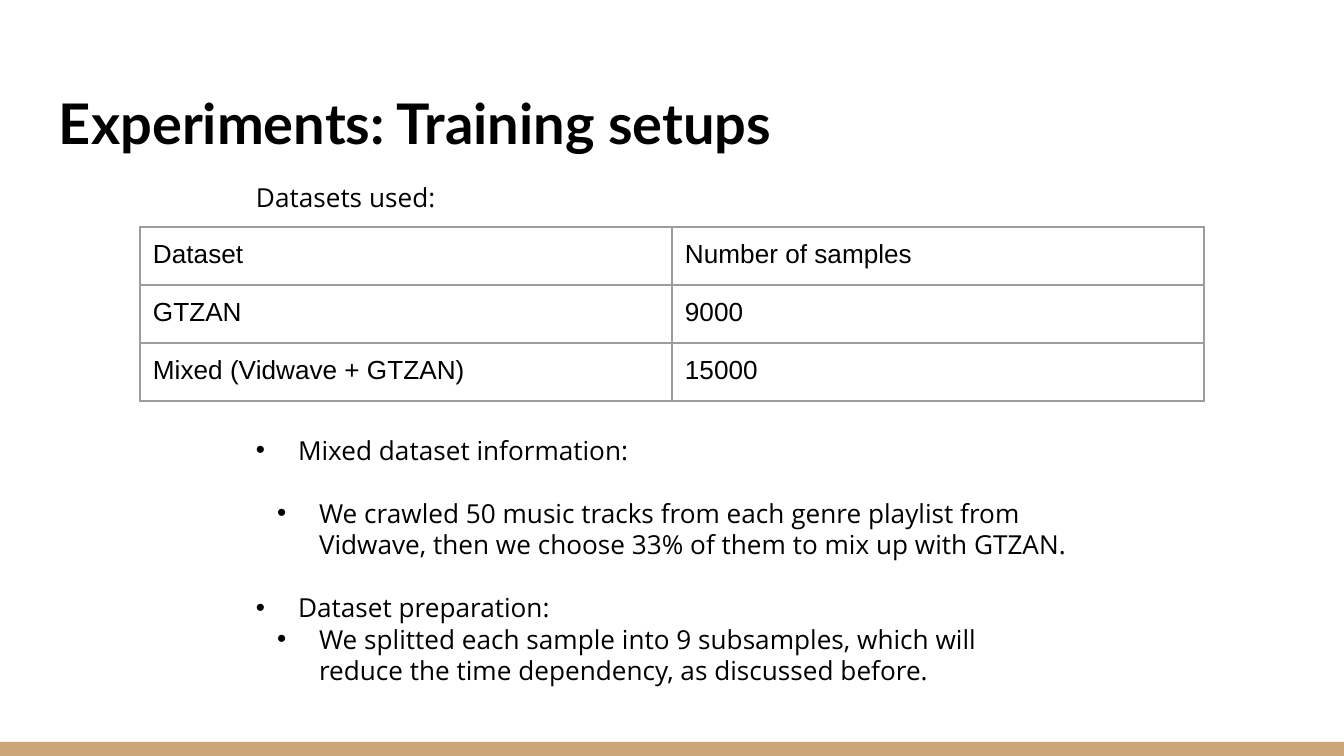
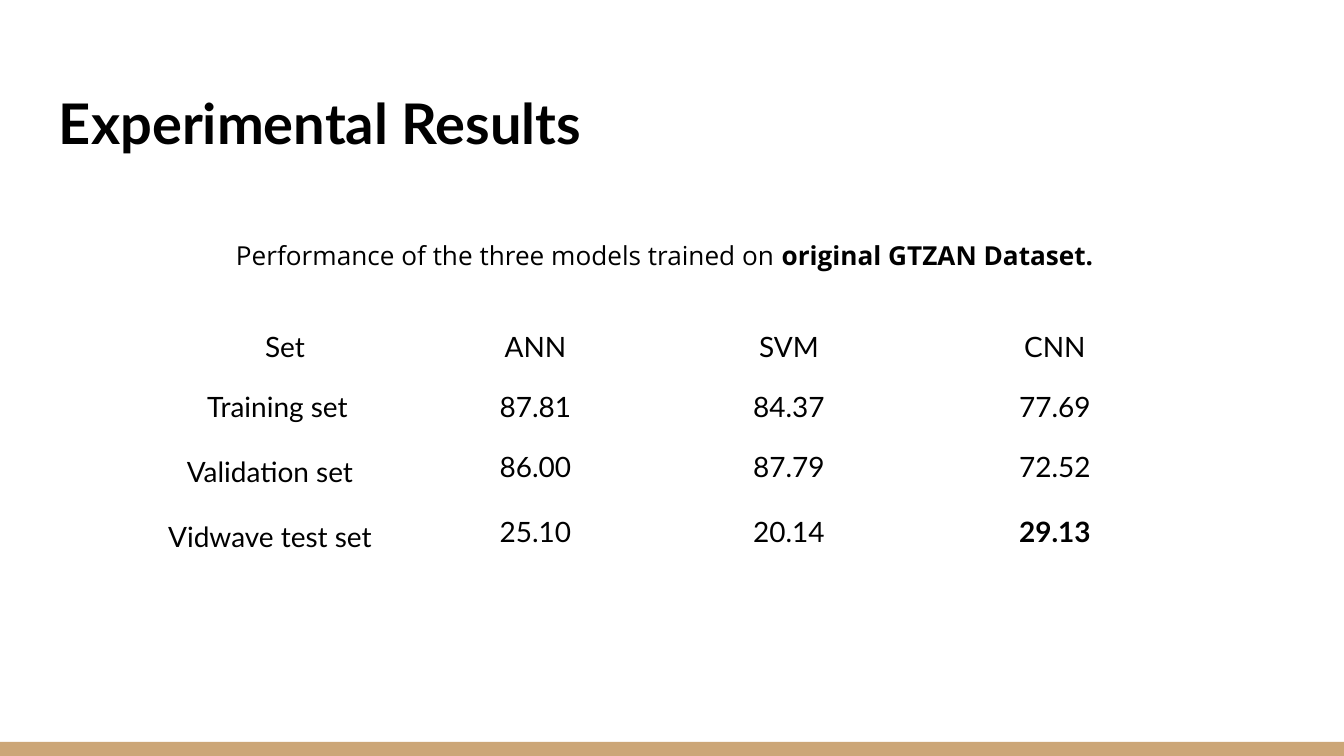
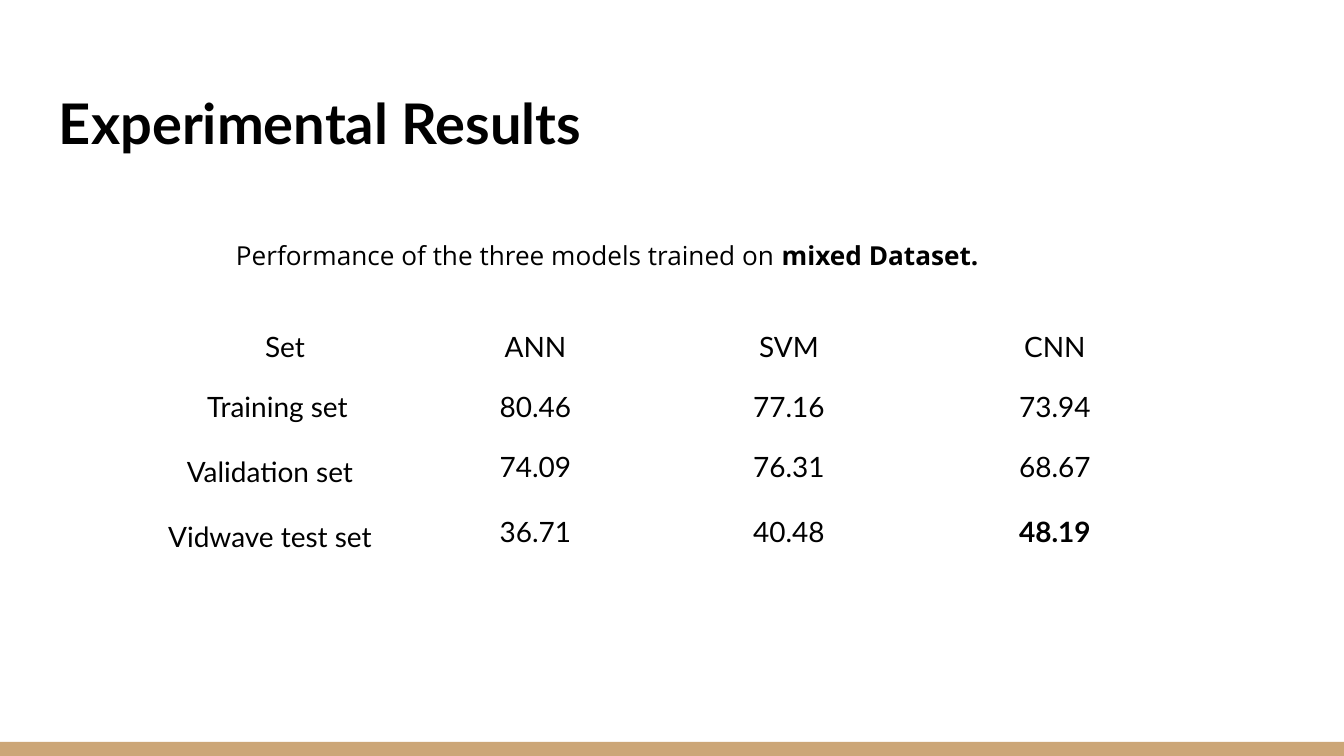
from dataclasses import dataclass
from typing import NamedTuple

from lxml.etree import SubElement
from pptx import Presentation
from pptx.dml.color import RGBColor
from pptx.enum.shapes import MSO_SHAPE
from pptx.enum.text import MSO_ANCHOR as Anchor, MSO_AUTO_SIZE as AutoSize, PP_ALIGN as Align
from pptx.oxml.ns import qn
from pptx.util import Emu, Pt

BLACK = RGBColor(0x00, 0x00, 0x00)
WHITE = RGBColor(0xFF, 0xFF, 0xFF)
GRAY = RGBColor(0x9E, 0x9E, 0x9E)
TAN = RGBColor(0xCC, 0xA6, 0x77)

TITLE_FONT = "Lato"
BODY_FONT = "Open Sans"
TABLE_FONT = "Arial"

EMU_PER_PX = 914400 / 134.4
SLIDE_WIDTH, SLIDE_HEIGHT = 1344, 756
INSET = 13
HANGING = 42
TITLE_AND_BODY, TITLE_ONLY = 1, 5


class Box(NamedTuple):
    left: int
    top: int
    width: int
    height: int


class Bullet(NamedTuple):
    text: str
    level: int
    gap_before: int


class RowLabel(NamedTuple):
    text: str
    indent: int
    anchor: Anchor
    line_spacing: float
    space_after: int


class TableStyle(NamedTuple):
    font: str
    size: int
    border: RGBColor
    align: Align


@dataclass
class Result:
    dataset: str
    scores: list[list[str]]


BAND_BOX = Box(0, 742, SLIDE_WIDTH, 14)
TITLE_BOX = Box(46, 47, 1253, 122)
DATASETS_BOX = Box(243, 168, 837, 59)
BULLETS_BOX = Box(243, 421, 837, 312)
CAPTION_BOX = Box(223, 226, 896, 59)

DATASET_STYLE = TableStyle(TABLE_FONT, 14, GRAY, Align.LEFT)
RESULT_STYLE = TableStyle(TITLE_FONT, 15, WHITE, Align.CENTER)

DATASETS = [
    ["Dataset", "Number of samples"],
    ["GTZAN", "9000"],
    ["Mixed (Vidwave + GTZAN)", "15000"],
]
BULLETS = [
    Bullet("Mixed dataset information:", 0, 0),
    Bullet("We crawled 50 music tracks from each genre playlist from Vidwave, "
           "then we choose 33% of them to mix up with GTZAN.", 1, 17),
    Bullet("Dataset preparation:", 0, 17),
    Bullet("We splitted each sample into 9 subsamples, which will reduce "
           "the time dependency, as discussed before.", 1, 0),
]
MODELS = ["ANN", "SVM", "CNN"]
ROW_LABELS = [
    RowLabel("Set", 30, Anchor.MIDDLE, 1.0, 0),
    RowLabel("Training set", 15, Anchor.TOP, 1.0, 0),
    RowLabel("Validation set", 0, Anchor.BOTTOM, 1.15, 12),
    RowLabel("Vidwave test set", 0, Anchor.MIDDLE, 1.15, 12),
]
RESULTS = [
    Result("original GTZAN Dataset.", [
        ["87.81", "84.37", "77.69"],
        ["86.00", "87.79", "72.52"],
        ["25.10", "20.14", "29.13"],
    ]),
    Result("mixed Dataset.", [
        ["80.46", "77.16", "73.94"],
        ["74.09", "76.31", "68.67"],
        ["36.71", "40.48", "48.19"],
    ]),
]


def px(length: int) -> Emu:
    return Emu(round(length * EMU_PER_PX))


def place(shape, box: Box) -> None:
    shape.left, shape.top, shape.width, shape.height = map(px, box)


def set_insets(target) -> None:
    target.margin_left = target.margin_right = px(INSET)
    target.margin_top = target.margin_bottom = px(INSET)


def format_run(run, font: str, size: int, bold: bool = False) -> None:
    run.font.name = font
    run.font.size = Pt(size)
    run.font.bold = bold
    run.font.color.rgb = BLACK


def prepare_frame(text_frame, anchor: Anchor = Anchor.TOP) -> None:
    text_frame.word_wrap = True
    text_frame.auto_size = AutoSize.NONE
    text_frame.vertical_anchor = anchor
    set_insets(text_frame)


def add_base_slide(presentation, layout: int, title: str):
    slide = presentation.slides.add_slide(presentation.slide_layouts[layout])
    band = slide.shapes.add_shape(MSO_SHAPE.RECTANGLE, *map(px, BAND_BOX))
    band.shadow.inherit = False
    band.fill.solid()
    band.fill.fore_color.rgb = TAN
    band.line.fill.background()

    heading = slide.shapes.title
    place(heading, TITLE_BOX)
    heading.text_frame.text = title
    prepare_frame(heading.text_frame, Anchor.BOTTOM)
    paragraph = heading.text_frame.paragraphs[0]
    paragraph.alignment = Align.LEFT
    format_run(paragraph.runs[0], TITLE_FONT, 30, bold=True)
    return slide


def add_text(slide, box: Box, text: str, bold_ending: str = "") -> None:
    text_frame = slide.shapes.add_textbox(*map(px, box)).text_frame
    prepare_frame(text_frame)
    paragraph = text_frame.paragraphs[0]
    paragraph.text = text
    format_run(paragraph.runs[0], BODY_FONT, 14)
    if bold_ending:
        run = paragraph.add_run()
        run.text = bold_ending
        format_run(run, BODY_FONT, 14, bold=True)


def fill_bullets(placeholder, bullets: list[Bullet]) -> None:
    place(placeholder, BULLETS_BOX)
    text_frame = placeholder.text_frame
    text_frame.text = "\n".join(bullet.text for bullet in bullets)
    prepare_frame(text_frame)
    for paragraph, bullet in zip(text_frame.paragraphs, bullets):
        paragraph.level = bullet.level
        paragraph.space_before = Pt(bullet.gap_before)
        format_run(paragraph.runs[0], BODY_FONT, 14)
        properties = paragraph._p.get_or_add_pPr()
        properties.set("marL", str(px(HANGING + HANGING // 2 * bullet.level)))
        properties.set("indent", str(-px(HANGING)))
        SubElement(properties, qn("a:buFont"), typeface="Arial")
        SubElement(properties, qn("a:buChar"), char="•")


def set_borders(cell, color: RGBColor) -> None:
    properties = cell._tc.get_or_add_tcPr()
    for side in ("lnL", "lnR", "lnT", "lnB"):
        line = SubElement(properties, qn(f"a:{side}"), w=str(Pt(0.75)))
        fill = SubElement(line, qn("a:solidFill"))
        SubElement(fill, qn("a:srgbClr"), val=str(color))


def add_grid(slide, left: int, top: int, widths: list[int], heights: list[int],
             rows: list[list[str]], style: TableStyle):
    box = Box(left, top, sum(widths), sum(heights))
    table = slide.shapes.add_table(len(heights), len(widths), *map(px, box)).table
    table.first_row = table.horz_banding = False
    for column, width in zip(table.columns, widths):
        column.width = px(width)
    for row, height, texts in zip(table.rows, heights, rows):
        row.height = px(height)
        for cell, text in zip(row.cells, texts):
            set_borders(cell, style.border)
            cell.fill.background()
            set_insets(cell)
            cell.text_frame.text = text
            paragraph = cell.text_frame.paragraphs[0]
            paragraph.alignment = style.align
            format_run(paragraph.runs[0], style.font, style.size)
    return table


def add_setup_slide(presentation) -> None:
    slide = add_base_slide(presentation, TITLE_AND_BODY, "Experiments: Training setups")
    add_text(slide, DATASETS_BOX, "Datasets used:")
    add_grid(slide, 140, 227, [532] * 2, [58] * 3, DATASETS, DATASET_STYLE)
    fill_bullets(slide.placeholders[1], BULLETS)


def add_result_slide(presentation, result: Result) -> None:
    slide = add_base_slide(presentation, TITLE_ONLY, "Experimental Results")
    rows = [[label.text, *values]
            for label, values in zip(ROW_LABELS, [MODELS, *result.scores])]
    table = add_grid(slide, 125, 317, [290, 241, 266, 266], [60, 60, 65, 65],
                     rows, RESULT_STYLE)
    for row, label in enumerate(ROW_LABELS):
        cell = table.cell(row, 0)
        cell.margin_left = px(INSET + label.indent)
        cell.vertical_anchor = label.anchor
        paragraph = cell.text_frame.paragraphs[0]
        paragraph.line_spacing = label.line_spacing
        paragraph.space_after = Pt(label.space_after)
    best_score = table.cell(len(ROW_LABELS) - 1, len(MODELS))
    best_score.text_frame.paragraphs[0].runs[0].font.bold = True
    add_text(slide, CAPTION_BOX, "Performance of the three models trained on ",
             result.dataset)


def main() -> None:
    presentation = Presentation()
    presentation.slide_width = px(SLIDE_WIDTH)
    presentation.slide_height = px(SLIDE_HEIGHT)
    add_setup_slide(presentation)
    for result in RESULTS:
        add_result_slide(presentation, result)
    presentation.save("out.pptx")


if __name__ == "__main__":
    main()
